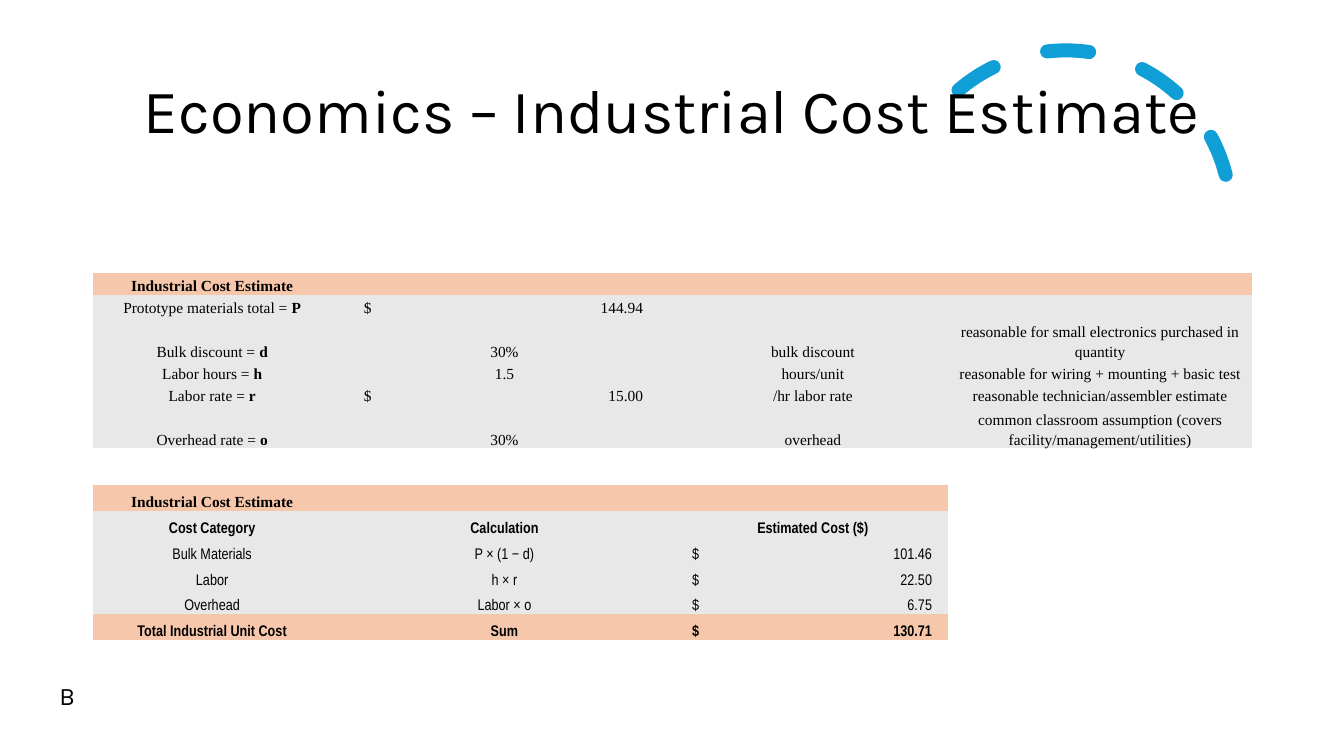
from dataclasses import dataclass
from typing import Any

from lxml.etree import SubElement
from pptx import Presentation
from pptx.dml.color import RGBColor as Rgb
from pptx.enum.dml import MSO_LINE
from pptx.enum.shapes import MSO_SHAPE as Shape
from pptx.enum.text import MSO_ANCHOR as Anchor, PP_ALIGN as Align
from pptx.oxml.ns import qn
from pptx.util import Pt

COLORS = {"text": "000000", "arc": "0F9ED5", "band": "F7C7AC", "body": "E8E8E8"}
SERIF, NARROW, DISPLAY = "Times New Roman", "Arial Narrow", "Karla"
NO_STYLE = "{2D5ABB26-0587-4C30-8999-92F81FD0307C}"
COLUMN_WIDTHS = (170.64, 246.96, 193.68, 216.72)
LINE, DOUBLE_LINE, GAP, COST_LINE = 15.12, 30.24, 26.3, 18.45
MONEY_LAYOUT = {1: (23, 199.5), 2: (10.5, 171.5)}


@dataclass(frozen=True)
class Label:
    text: str
    left: float
    top: float
    width: float
    height: float
    size: float
    wrap: bool
    anchor: Anchor
    paragraph: dict[str, Any]


@dataclass(frozen=True)
class Row:
    height: float
    texts: tuple[str, ...] = ()
    fill: str = "body"
    filled: int = 3
    font: str = NARROW
    bold: bool = False
    symbol: str = ""


LABELS = (
    Label("Economics – Industrial Cost Estimate", 66.24, 28.8, 828, 104.4, 44, True,
          Anchor.MIDDLE, {"alignment": Align.CENTER, "line_spacing": 0.9}),
    Label("B", 35.28, 482.4, 25.2, 28.8, 18, False, Anchor.TOP, {}),
)

ROWS = (
    Row(LINE, ("Industrial Cost Estimate",), "band", 4, SERIF, True),
    Row(LINE, ("Prototype materials total = ", "$\t144.94"), "body", 4, SERIF, symbol="P"),
    Row(DOUBLE_LINE, ("Bulk discount = ", "30%", "bulk discount",
                      "reasonable for small electronics purchased in quantity"),
        "body", 4, SERIF, symbol="d"),
    Row(LINE, ("Labor hours = ", "1.5", "hours/unit",
               "reasonable for wiring + mounting + basic test"), "body", 4, SERIF, symbol="h"),
    Row(LINE, ("Labor rate = ", "$\t15.00", "/hr labor rate",
               "reasonable technician/assembler estimate"), "body", 4, SERIF, symbol="r"),
    Row(DOUBLE_LINE, ("Overhead rate = ", "30%", "overhead",
                      "common classroom assumption (covers facility/management/utilities)"),
        "body", 4, SERIF, symbol="o"),
    Row(GAP, filled=0),
    Row(COST_LINE, ("Industrial Cost Estimate",), "band", font=SERIF, bold=True),
    Row(COST_LINE, ("Cost Category", "Calculation", "Estimated Cost ($)"), bold=True),
    Row(COST_LINE, ("Bulk Materials", "P × (1 − d)", "$\t101.46")),
    Row(COST_LINE, ("Labor", "h × r", "$\t22.50")),
    Row(COST_LINE, ("Overhead", "Labor × o", "$\t6.75")),
    Row(COST_LINE, ("Total Industrial Unit Cost", "Sum", "$\t130.71"), "band", bold=True),
)


def apply(target: Any, values: dict[str, Any]) -> None:
    for name, value in values.items():
        setattr(target, name, value)


def color(name: str) -> Rgb:
    return Rgb.from_string(COLORS[name])


def add_span(para: Any, text: str, font: str, size: float, bold: bool = False) -> None:
    span = para.add_run()
    span.text = text
    apply(span.font, {"name": font, "size": Pt(size), "bold": bold})
    span.font.color.rgb = color("text")


def add_arc(page: Any) -> None:
    arc = page.shapes.add_shape(Shape.ARC, Pt(643.68), Pt(36), Pt(235.44), Pt(235.44))
    arc.adjustments[0], arc.adjustments[1] = 146.13, 0
    arc.rotation = 345.8
    arc.shadow.inherit = False
    arc.fill.background()
    arc.line.color.rgb = color("arc")
    apply(arc.line, {"width": Pt(10), "dash_style": MSO_LINE.DASH})
    arc.line._ln.set("cap", "rnd")


def add_label(page: Any, label: Label) -> None:
    box = page.shapes.add_textbox(
        Pt(label.left), Pt(label.top), Pt(label.width), Pt(label.height))
    apply(box.text_frame, {"word_wrap": label.wrap, "vertical_anchor": label.anchor})
    para = box.text_frame.paragraphs[0]
    apply(para, label.paragraph)
    add_span(para, label.text, DISPLAY, label.size)


def fill_cell(cell: Any, row: Row, column: int) -> None:
    text = row.texts[column] if column < len(row.texts) else ""
    if column < row.filled:
        cell.fill.solid()
        cell.fill.fore_color.rgb = color(row.fill)
    else:
        cell.fill.background()
    apply(cell, {"vertical_anchor": Anchor.BOTTOM, "margin_left": Pt(5),
                 "margin_right": Pt(5), "margin_top": Pt(0.7), "margin_bottom": Pt(0)})
    para = cell.text_frame.paragraphs[0]
    if not text:
        para._p.get_or_add_endParaRPr().set("sz", "800")
        return
    apply(para, {"alignment": Align.CENTER, "line_spacing": 1.15, "space_after": Pt(8)})
    if "\t" in text:
        margin, stop = MONEY_LAYOUT[column]
        apply(cell, {"margin_left": Pt(margin)})
        apply(para, {"alignment": Align.LEFT})
        tabs = SubElement(para._p.get_or_add_pPr(), qn("a:tabLst"))
        SubElement(tabs, qn("a:tab"), pos=str(Pt(stop)), algn="r")
    add_span(para, text, row.font, 11, row.bold)
    if column == 0 and row.symbol:
        add_span(para, row.symbol, row.font, 11, True)


def add_cost_table(page: Any) -> None:
    frame = page.shapes.add_table(
        len(ROWS), len(COLUMN_WIDTHS), Pt(66.24), Pt(194.7),
        Pt(sum(COLUMN_WIDTHS)), Pt(sum(row.height for row in ROWS)))
    table = frame.table
    apply(table, {"first_row": False, "horz_banding": False})
    table._tbl.tblPr.find(qn("a:tableStyleId")).text = NO_STYLE
    for column, width in zip(table.columns, COLUMN_WIDTHS):
        column.width = Pt(width)
    for line, row in zip(table.rows, ROWS):
        line.height = Pt(row.height)
        for column, cell in enumerate(line.cells):
            fill_cell(cell, row, column)


def main() -> None:
    deck = Presentation()
    apply(deck, {"slide_width": Pt(960), "slide_height": Pt(540)})
    page = deck.slides.add_slide(deck.slide_layouts[6])
    add_arc(page)
    for label in LABELS:
        add_label(page, label)
    add_cost_table(page)
    deck.save("out.pptx")


if __name__ == "__main__":
    main()
